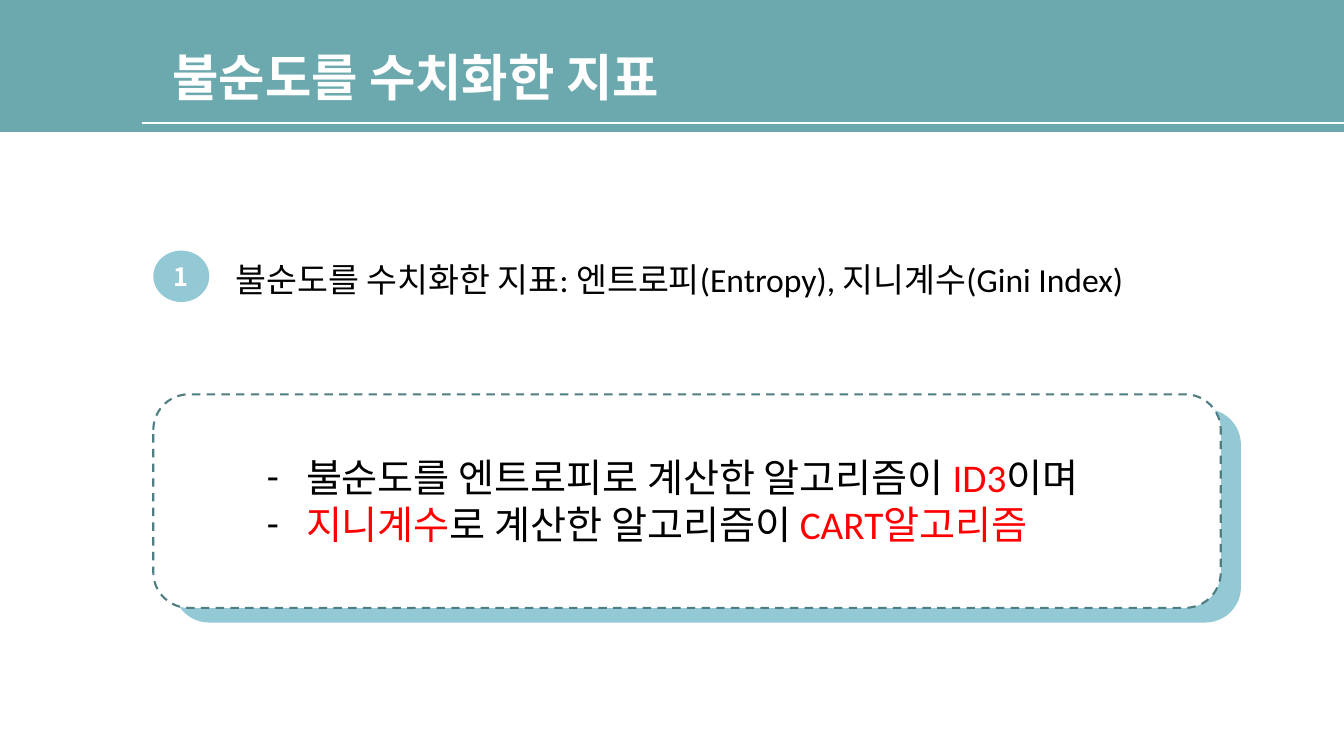
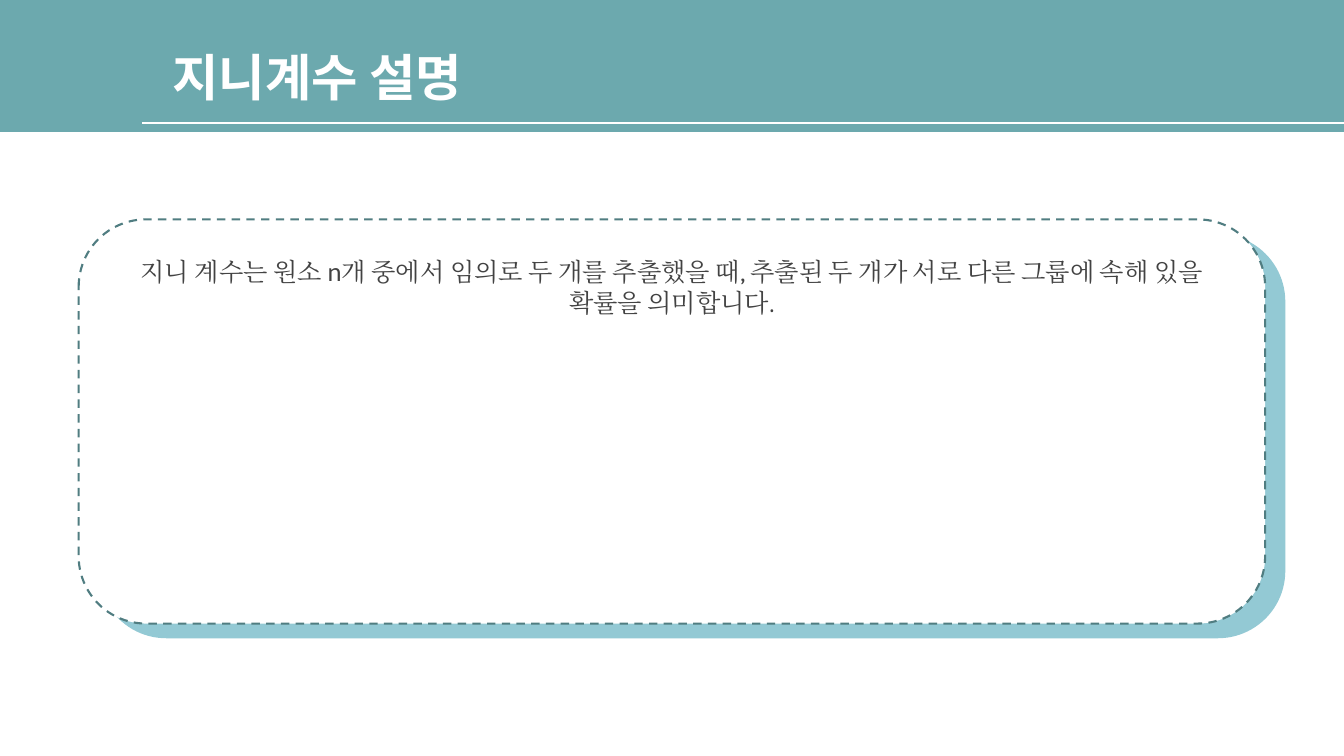
from lxml import etree
from pptx import Presentation
from pptx.dml.color import RGBColor
from pptx.enum.dml import MSO_LINE
from pptx.enum.shapes import MSO_CONNECTOR, MSO_SHAPE
from pptx.enum.text import MSO_ANCHOR, PP_ALIGN
from pptx.oxml.ns import qn
from pptx.util import Pt

RECT, ROUND, OVAL = MSO_SHAPE.RECTANGLE, MSO_SHAPE.ROUNDED_RECTANGLE, MSO_SHAPE.OVAL
LINE, DASH = MSO_CONNECTOR.STRAIGHT, MSO_LINE.DASH
TOP, MIDDLE, CENTER = MSO_ANCHOR.TOP, MSO_ANCHOR.MIDDLE, PP_ALIGN.CENTER
HEX = {"band": "6CA9AE", "pale": "93C9D4", "edge": "507D81", "white": "FFFFFF",
       "black": "000000", "red": "FF0000", "grey": "424242"}
INK = {name: RGBColor.from_string(code) for name, code in HEX.items()}
BOLD, BODY, SERIF, SANS = "Noto Sans CJK KR", "Calibri", "Cambria", "Lato"


def write(para, text, size, font, ink, bold=False):
    run = para.add_run()
    run.text = text
    run.font.size = Pt(size)
    run.font.name = font
    run.font.bold = bold
    run.font.color.rgb = INK[ink]
    latin = run.font._element.find(qn("a:latin"))
    east = etree.Element(qn("a:ea"), typeface=font)
    latin.addnext(east)


def draw(slide, kind, box, fill):
    shape = slide.shapes.add_shape(kind, *map(Pt, box))
    shape.shadow.inherit = False
    shape.fill.solid()
    shape.fill.fore_color.rgb = INK[fill]
    shape.line.fill.background()
    return shape


deck = Presentation()
deck.slide_width, deck.slide_height = Pt(960), Pt(540)
pages = [("불순도를 수치화한 지표", 395, (109.5, 281.7, 762.5, 152.5)),
         ("지니계수 설명", 246, (56.2, 156.7, 847.5, 288.7))]
slides, cards = [], []
for title, wide, (left, top, width, height) in pages:
    slide = deck.slides.add_slide(deck.slide_layouts[6])
    draw(slide, RECT, (0, 0, 960, 94.3), "band")
    rule = slide.shapes.add_connector(LINE, Pt(101.5), Pt(88), Pt(960), Pt(88))
    rule.line.color.rgb = INK["white"]
    rule.line.width = Pt(1.25)
    etree.SubElement(rule._element.spPr, qn("a:effectLst"))
    head = slide.shapes.add_textbox(Pt(116), Pt(29.5), Pt(wide), Pt(51)).text_frame
    head.word_wrap = False
    write(head.paragraphs[0], title, 36, BOLD, "white", True)
    draw(slide, ROUND, (left + 14.4, top + 10.5, width, height), "pale")
    card = draw(slide, ROUND, (left, top, width, height), "white")
    card.line.color.rgb = INK["edge"]
    card.line.width = Pt(1.5)
    card.line.dash_style = DASH
    slides.append(slide)
    cards.append(card)

slide = slides[0]
badge = draw(slide, OVAL, (109.5, 179, 40, 36.7), "pale").text_frame
badge.vertical_anchor = MIDDLE
badge.paragraphs[0].alignment = CENTER
write(badge.paragraphs[0], "1", 18, BOLD, "white", True)

lead = slide.shapes.add_textbox(Pt(161), Pt(181.5), Pt(788), Pt(36)).text_frame
lead.word_wrap = True
write(lead.paragraphs[0], "불순도를 수치화한 지표: 엔트로피(Entropy), 지니계수(Gini Index)",
      24, BODY, "black")

points = [[("불순도를 엔트로피로 계산한 알고리즘이 ", "black"), ("ID3", "red"), ("이며", "black")],
          [("지니계수", "red"), ("로 계산한 알고리즘이 ", "black"), ("CART알고리즘", "red")]]
list_box = slide.shapes.add_textbox(Pt(176.5), Pt(320.5), Pt(656.5), Pt(75)).text_frame
list_box.word_wrap = True
for i, parts in enumerate(points):
    para = list_box.add_paragraph() if i else list_box.paragraphs[0]
    props = para._p.get_or_add_pPr()
    props.set("marL", str(Pt(35)))
    props.set("indent", str(-Pt(28)))
    tint = etree.SubElement(props, qn("a:buClr"))
    etree.SubElement(tint, qn("a:srgbClr"), val=HEX["black"])
    etree.SubElement(props, qn("a:buFont"), typeface=BODY)
    etree.SubElement(props, qn("a:buChar"), char="-")
    for text, ink in parts:
        write(para, text, 28, BODY, ink)

frame = cards[1].text_frame
frame.vertical_anchor = TOP
frame.margin_top = Pt(12.5)
para = frame.paragraphs[0]
para.alignment = CENTER
for text, font in [("지니 계수는 원소 ", SERIF), ("n", SANS),
                   ("개 중에서 임의로 두 개를 추출했을 때, 추출된 두 개가 서로 다른 그룹에 속해 있을 확률을 의미합니다.", SERIF)]:
    write(para, text, 18, font, "grey")

deck.save("out.pptx")
